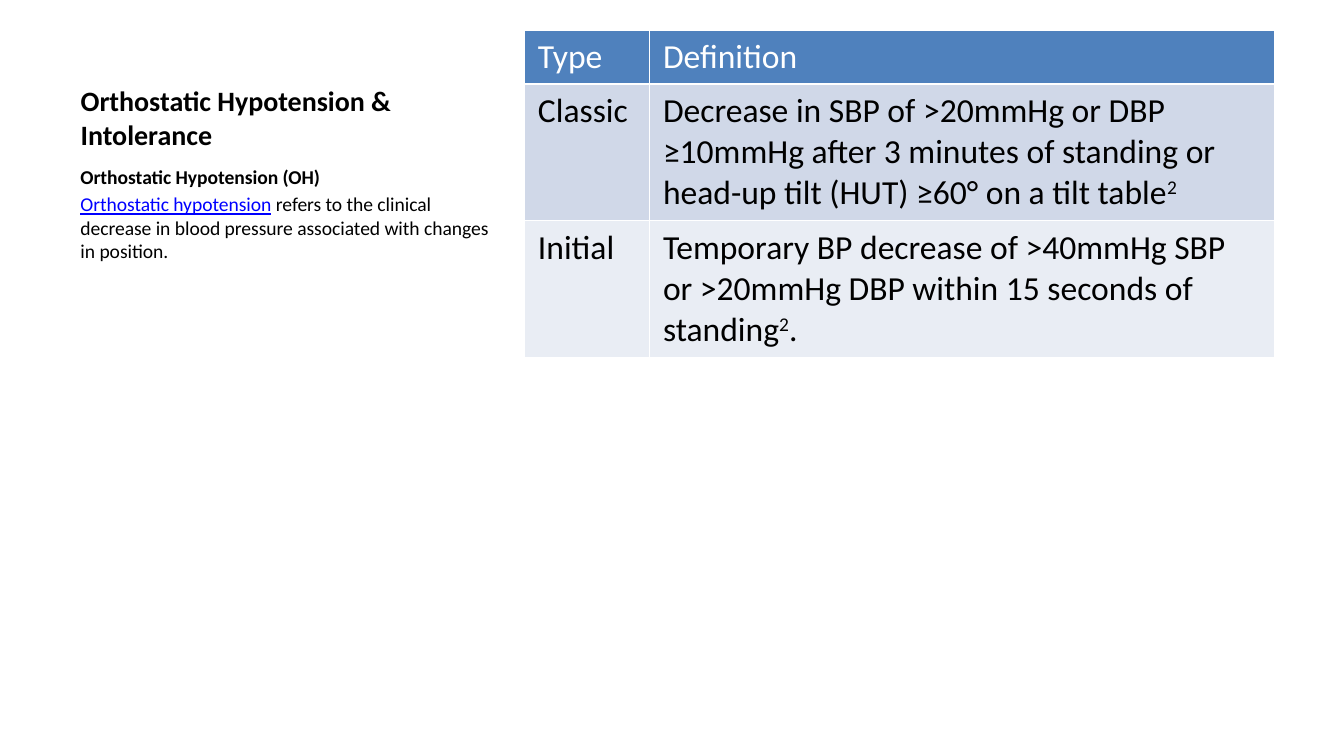
"""Build a slide on orthostatic hypotension with a table of its types."""
from pptx import Presentation
from pptx.dml.color import RGBColor
from pptx.enum.text import MSO_ANCHOR, MSO_AUTO_SIZE, PP_ALIGN
from pptx.util import Pt

BLACK = RGBColor(0x00, 0x00, 0x00)
WHITE = RGBColor(0xFF, 0xFF, 0xFF)
LINK = RGBColor(0x00, 0x00, 0xFF)
HEADER = RGBColor(0x4F, 0x81, 0xBD)
DARK = RGBColor(0xD0, 0xD8, 0xE8)
LIGHT = RGBColor(0xE9, 0xED, 0xF4)


def add_run(para, text, size, color=BLACK, bold=False):
    run = para.add_run()
    run.text = text
    font = run.font
    font.name = "Calibri"
    font.size = Pt(size)
    font.bold = bold
    font.color.rgb = color
    return font


deck = Presentation()
deck.slide_width, deck.slide_height = Pt(720), Pt(405)
slide = deck.slides.add_slide(deck.slide_layouts[5])

title = slide.shapes.title
title.left, title.top, title.width, title.height = Pt(36), Pt(16), Pt(237), Pt(68.6)
frame = title.text_frame
frame.auto_size = MSO_AUTO_SIZE.NONE
frame.vertical_anchor = MSO_ANCHOR.BOTTOM
para = frame.paragraphs[0]
para.alignment = PP_ALIGN.LEFT
add_run(para, "Orthostatic Hypotension & Intolerance", 15, bold=True)

body = slide.shapes.add_textbox(Pt(36), Pt(84.8), Pt(237), Pt(277)).text_frame
body.word_wrap = True
add_run(body.paragraphs[0], "Orthostatic Hypotension (OH)", 10.5, bold=True)
para = body.add_paragraph()
para.space_before = Pt(2)
add_run(para, "Orthostatic hypotension", 10.5, LINK).underline = True
add_run(para, " refers to the clinical decrease in blood pressure "
        "associated with changes in position.", 10.5)

rows = [
    (28.8, HEADER, WHITE, [["Type"], ["Definition"]]),
    (73.2, DARK, BLACK, [["Classic"], [
        "Decrease in SBP of >20mmHg or DBP ≥10mmHg after 3 minutes of "
        "standing or head-up tilt (HUT) ≥60° on a tilt table", "2"]]),
    (73.2, LIGHT, BLACK, [["Initial"], [
        "Temporary BP decrease of >40mmHg SBP or >20mmHg DBP within "
        "15 seconds of standing", "2", "."]]),
]
high = sum(row[0] for row in rows)
table = slide.shapes.add_table(3, 2, Pt(281), Pt(16.2), Pt(402), Pt(high)).table
for col, width in zip(table.columns, (67, 335)):
    col.width = Pt(width)
for i, (height, fill, color, cells) in enumerate(rows):
    table.rows[i].height = Pt(height)
    for j, parts in enumerate(cells):
        cell = table.cell(i, j)
        cell.fill.solid()
        cell.fill.fore_color.rgb = fill
        for part in parts:
            font = add_run(cell.text_frame.paragraphs[0], part, 18, color)
            if part == "2":
                font._element.set("baseline", "30000")

deck.save("out.pptx")
